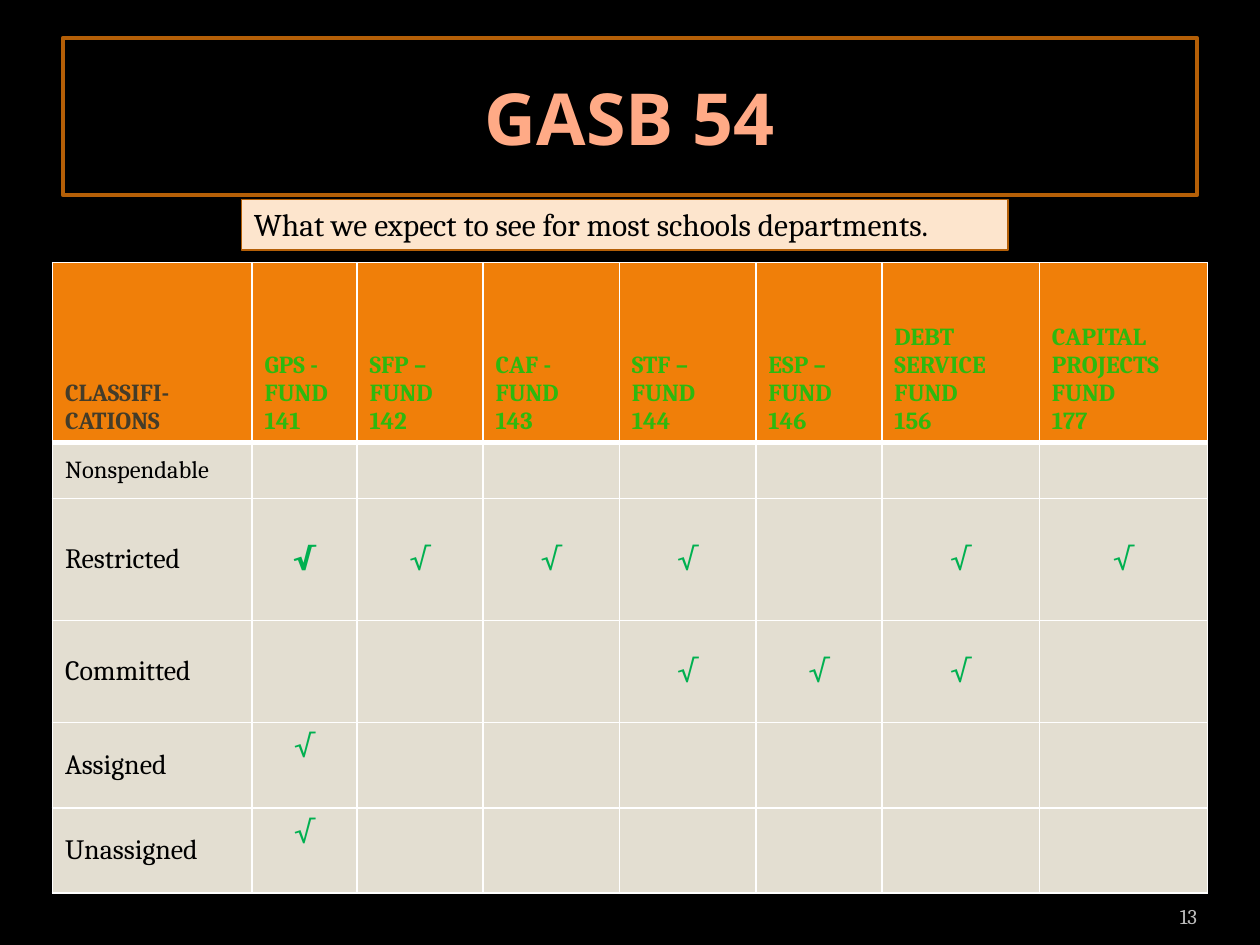
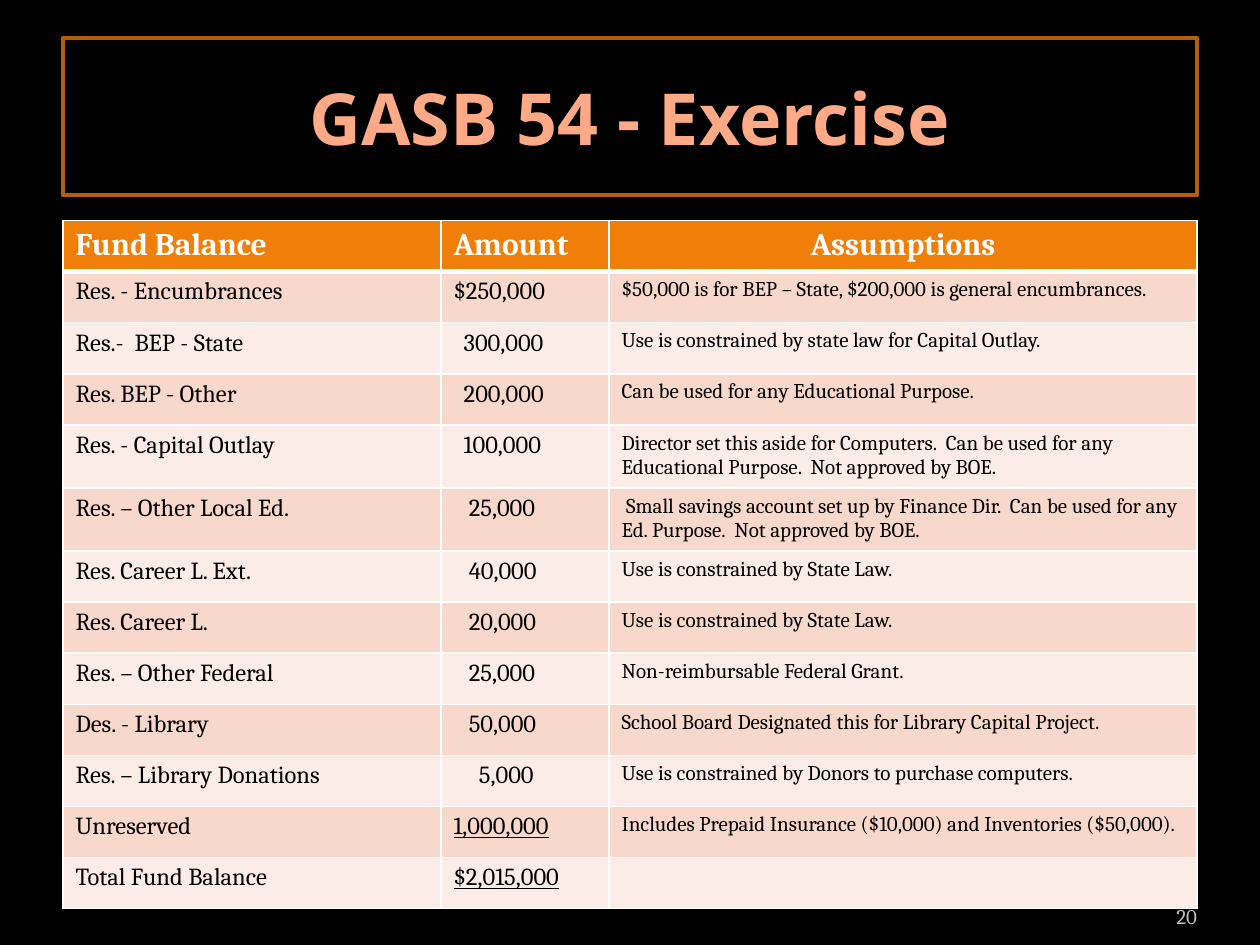
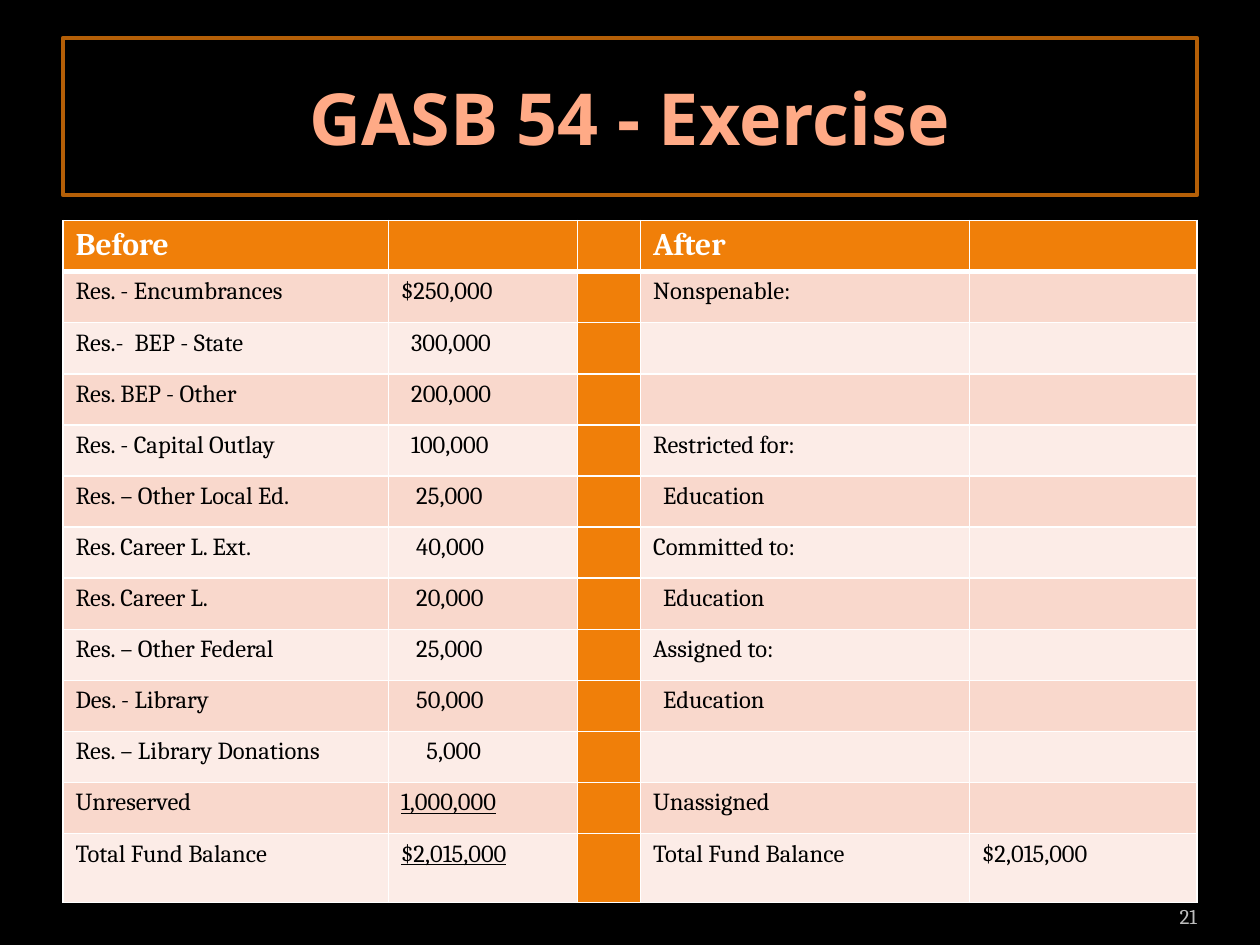
"""Build three fund balance slides, each a framed title above a table."""
from dataclasses import dataclass

from lxml.etree import SubElement
from pptx import Presentation
from pptx.dml.color import RGBColor
from pptx.enum.shapes import MSO_SHAPE as Shape
from pptx.enum.text import MSO_ANCHOR as Anchor, PP_ALIGN as Align
from pptx.oxml.ns import qn
from pptx.util import Pt


@dataclass(frozen=True)
class Theme:
    """Colours, fonts and type sizes of the deck."""
    black: str = "000000"
    white: str = "FFFFFF"
    frame: str = "B45F07"
    title: str = "FFAA86"
    orange: str = "F07F09"
    caption: str = "FDE5CD"
    sand: str = "E3DED1"
    bands: tuple = ("F9D8CC", "FCECE7")
    brown: str = "443C29"
    fund: str = "2DB90E"
    check: str = "00B050"
    number: str = "BDBDBD"
    body_font: str = "Cambria"
    title_font: str = "Open Sans"
    title_size: int = 41
    large: int = 18
    label: int = 16
    body: int = 14
    small: int = 12


THEME = Theme()
MARGIN = 7.2
TITLE_BOX = (36, 21.6, 648, 90)
CAPTION_BOX = (138, 113.8, 438, 29)
NUMBER_BOX = (624, 505.5, 60, 28.8)

CAPTION = "What we expect to see for most schools departments."
FUNDS = ["CLASSIFI-CATIONS", "GPS -\nFUND\n141", "SFP –\nFUND\n142", "CAF -\nFUND\n143",
         "STF –\nFUND\n144", "ESP –\nFUND\n146", "DEBT SERVICE FUND\n156",
         "CAPITAL\nPROJECTS\nFUND\n177"]
CLASSES = [("Nonspendable", ()), ("Restricted", (1, 2, 3, 4, 6, 7)),
           ("Committed", (4, 5, 6)), ("Assigned", (1,)), ("Unassigned", (1,))]
FUND_WIDTHS = [114, 60, 72, 78, 78, 72, 90, 96]
FUND_HEIGHTS = [102.8, 32, 69.7, 58.3, 49, 48.6]

BALANCES = [
    ("Res. - Encumbrances", "$250,000"), ("Res.-  BEP - State", "300,000"),
    ("Res. BEP - Other", "200,000"), ("Res. - Capital Outlay", "100,000"),
    ("Res. – Other Local Ed.", "25,000"), ("Res. Career L. Ext.", "40,000"),
    ("Res. Career L.", "20,000"), ("Res. – Other Federal", "25,000"),
    ("Des. - Library", "50,000"), ("Res. – Library Donations", "5,000"),
    ("Unreserved", "1,000,000"), ("Total Fund Balance", "$2,015,000"),
]
ASSUMPTIONS = [
    "$50,000 is for BEP – State, $200,000 is general encumbrances.",
    "Use is constrained by state law for Capital Outlay.",
    "Can be used for any Educational Purpose.",
    "Director set this aside for Computers.  Can be used for any Educational Purpose."
    "  Not approved by BOE.",
    " Small savings account set up by Finance Dir.  Can be used for any Ed. Purpose."
    "  Not approved by BOE.",
    "Use is constrained by State Law.",
    "Use is constrained by State Law.",
    "Non-reimbursable Federal Grant.",
    "School Board Designated this for Library Capital Project.",
    "Use is constrained by Donors to purchase computers.",
    "Includes Prepaid Insurance ($10,000) and Inventories ($50,000).",
    "",
]
AFTER = ["Nonspenable:", "", "", "Restricted for:", "Education", "Committed to:", "Education",
         "Assigned to:", "Education", "", "Unassigned", "Total Fund Balance"]
AMOUNT_INDENTS = {5: 14.5, 6: 8.7, 7: 5.8}
EDUCATION_INDENT = 5.8
ROW_HEIGHT, TWO_LINE_HEIGHT, LAST_HEIGHT = 29.2, 34.9, 39.4
UNDERLINED = ("1,000,000", "$2,015,000")


def rgb(value):
    return RGBColor.from_string(value)


def write(frame, text, size, color, font=THEME.body_font, bold=False, align=Align.LEFT,
          underline=False):
    frame.text = text
    frame.word_wrap = True
    for para in frame.paragraphs:
        para.alignment = align
        for span in para.runs:
            span.font.name, span.font.size = font, Pt(size)
            span.font.bold, span.font.underline = bold, underline
            span.font.color.rgb = rgb(color)


def add_panel(page, bounds, fill, line_width):
    panel = page.shapes.add_shape(Shape.RECTANGLE, *map(Pt, bounds))
    panel.shadow.inherit = False
    panel.fill.solid()
    panel.fill.fore_color.rgb = rgb(fill)
    panel.line.color.rgb = rgb(THEME.frame)
    panel.line.width = Pt(line_width)
    return panel.text_frame


def add_page(deck, title, number):
    page = deck.slides.add_slide(deck.slide_layouts[6])
    page.background.fill.solid()
    page.background.fill.fore_color.rgb = rgb(THEME.black)
    frame = add_panel(page, TITLE_BOX, THEME.black, 2.25)
    frame.vertical_anchor = Anchor.MIDDLE
    write(frame, title, THEME.title_size, THEME.title, THEME.title_font, True, Align.CENTER)
    frame = page.shapes.add_textbox(*map(Pt, NUMBER_BOX)).text_frame
    frame.margin_left = frame.margin_right = 0
    frame.vertical_anchor = Anchor.BOTTOM
    write(frame, number, THEME.small, THEME.number, align=Align.RIGHT)
    return page


def set_borders(cell, top, bottom):
    properties = cell._tc.get_or_add_tcPr()
    edges = (("a:lnL", 1), ("a:lnR", 1), ("a:lnT", top), ("a:lnB", bottom))
    for place, (tag, width) in enumerate(edges):
        line = SubElement(properties, qn(tag), w=str(Pt(width)))
        SubElement(SubElement(line, qn("a:solidFill")), qn("a:srgbClr"), val=THEME.white)
        properties.insert(place, line)


def add_grid(page, left, top, widths, heights, fill_for):
    shape = page.shapes.add_table(len(heights), len(widths), Pt(left), Pt(top),
                                  Pt(sum(widths)), Pt(sum(heights)))
    table = shape.table
    table.first_row = table.horz_banding = False
    for column, width in zip(table.columns, widths):
        column.width = Pt(width)
    for r, height in enumerate(heights):
        table.rows[r].height = Pt(height)
        for c in range(len(widths)):
            cell = table.cell(r, c)
            cell.fill.solid()
            cell.fill.fore_color.rgb = rgb(fill_for(r, c))
            set_borders(cell, 3 if r == 1 else 1, 3 if r == 0 else 1)
    return table


def fill_cell(cell, text, size, color=THEME.black, anchor=Anchor.TOP, indent=0, **style):
    cell.vertical_anchor = anchor
    cell.margin_left = Pt(MARGIN + indent)
    if text:
        write(cell.text_frame, text, size, color, **style)


def add_classification_page(deck):
    page = add_page(deck, "GASB 54", "13")
    table = add_grid(page, 30, 150, FUND_WIDTHS, FUND_HEIGHTS,
                     lambda r, c: THEME.sand if r else THEME.orange)
    for c, fund in enumerate(FUNDS):
        fill_cell(table.cell(0, c), fund, THEME.body, THEME.fund if c else THEME.brown,
                  Anchor.BOTTOM, bold=True)
    for r, (name, checked) in enumerate(CLASSES, 1):
        fill_cell(table.cell(r, 0), name, THEME.label if checked else THEME.body,
                  anchor=Anchor.MIDDLE)
        anchor = Anchor.TOP if len(checked) == 1 else Anchor.MIDDLE
        for c in checked:
            fill_cell(table.cell(r, c), "√", THEME.large, THEME.check, anchor,
                      bold=(name, c) == ("Restricted", 1), align=Align.CENTER)
    frame = add_panel(page, CAPTION_BOX, THEME.caption, 0.75)
    frame.vertical_anchor = Anchor.TOP
    write(frame, CAPTION, THEME.large, THEME.black)


def add_exercise_page(deck, number, headings, widths, heights, divider=None):
    def fill_for(r, c):
        return THEME.orange if r == 0 or c == divider else THEME.bands[(r - 1) % 2]

    page = add_page(deck, "GASB 54 - Exercise", number)
    table = add_grid(page, 36, 126, widths, heights, fill_for)
    for c, heading in enumerate(headings):
        fill_cell(table.cell(0, c), heading, THEME.large, THEME.white, bold=True,
                  align=Align.CENTER if heading == "Assumptions" else Align.LEFT)
    for r, (name, amount) in enumerate(BALANCES, 1):
        fill_cell(table.cell(r, 0), name, THEME.body)
        fill_cell(table.cell(r, 1), amount, THEME.body, underline=amount in UNDERLINED,
                  indent=AMOUNT_INDENTS.get(len(amount), 0))
    return table


def main():
    deck = Presentation()
    deck.slide_width, deck.slide_height = Pt(720), Pt(540)
    add_classification_page(deck)

    heights = [TWO_LINE_HEIGHT if r in (4, 5) else ROW_HEIGHT for r in range(13)]
    table = add_exercise_page(deck, "20", ["Fund Balance", "Amount", "Assumptions"],
                              [216, 96, 336], heights)
    for r, assumption in enumerate(ASSUMPTIONS, 1):
        fill_cell(table.cell(r, 2), assumption, THEME.small)

    table = add_exercise_page(deck, "21", ["Before", "", "", "After", ""],
                              [186, 108, 36, 188, 130], [ROW_HEIGHT] * 12 + [LAST_HEIGHT], 2)
    for r, name in enumerate(AFTER, 1):
        fill_cell(table.cell(r, 3), name, THEME.body,
                  indent=EDUCATION_INDENT if name == "Education" else 0)
    fill_cell(table.cell(12, 4), BALANCES[-1][1], THEME.body)

    deck.save("out.pptx")


if __name__ == "__main__":
    main()
